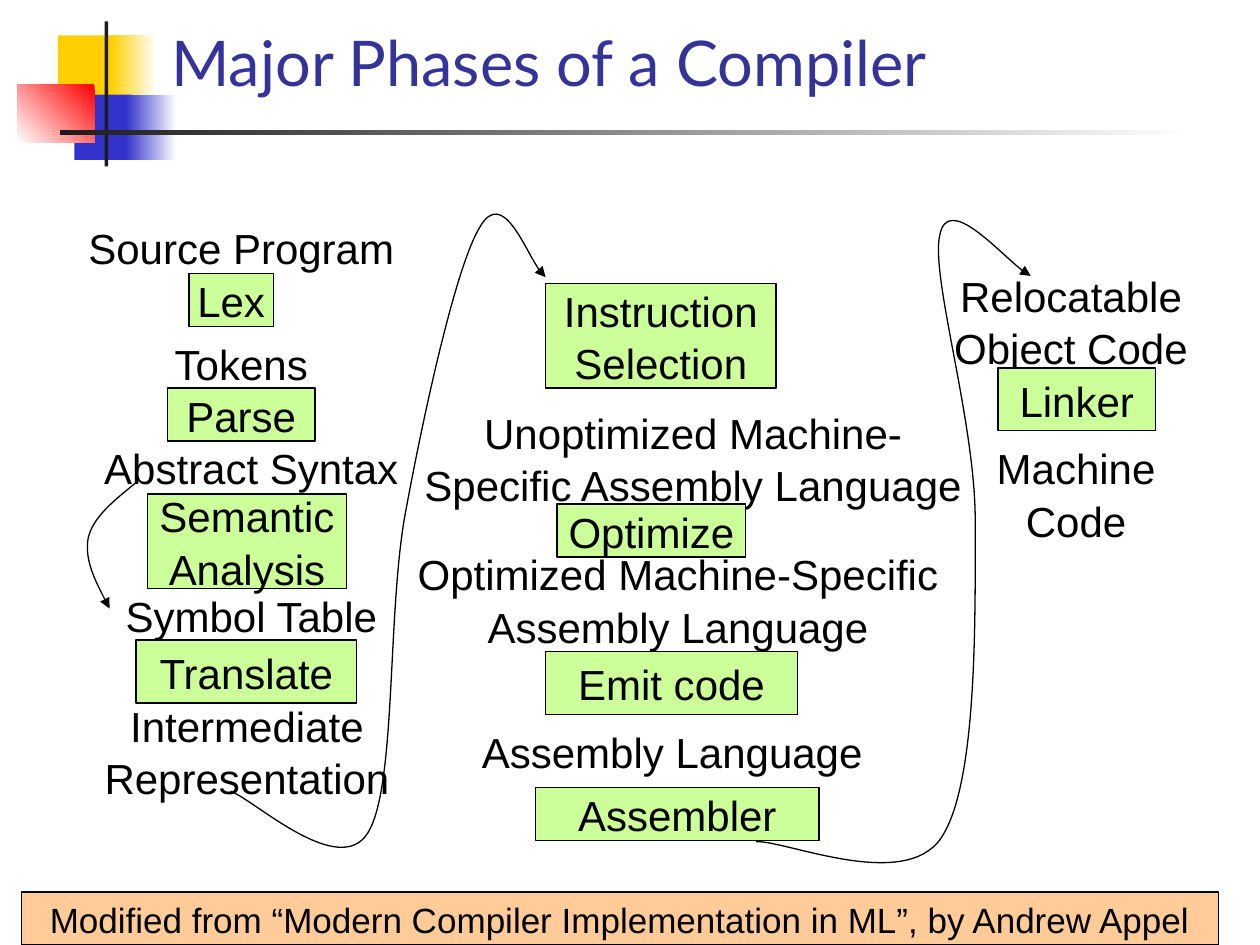
from lxml import etree
from pptx import Presentation
from pptx.dml.color import RGBColor
from pptx.enum.shapes import MSO_SHAPE
from pptx.enum.text import MSO_ANCHOR, MSO_AUTO_SIZE, PP_ALIGN
from pptx.oxml.ns import qn
from pptx.util import Inches, Pt

RECT = MSO_SHAPE.RECTANGLE
TOP, MIDDLE, BOTTOM = MSO_ANCHOR.TOP, MSO_ANCHOR.MIDDLE, MSO_ANCHOR.BOTTOM
LEFT, CENTER = PP_ALIGN.LEFT, PP_ALIGN.CENTER
NO_FIT = MSO_AUTO_SIZE.NONE

COLORS = {
    "white": "FFFFFF", "black": "000000", "dark": "1C1C1C", "title": "333399",
    "yellow": "FFCF01", "blue": "3333CC", "red": "FF0000",
    "green": "CCFF99", "peach": "FFCC99",
}


def color(name):
    return RGBColor.from_string(COLORS[name])


def inches(box):
    return [Inches(n) for n in box]


def write(shape, text, size=24, wrap=False, anchor=MIDDLE):
    frame = shape.text_frame
    frame.text = text
    frame.word_wrap = wrap
    frame.auto_size = NO_FIT
    frame.vertical_anchor = anchor
    for par in frame.paragraphs:
        par.alignment = CENTER
        par.line_spacing = 1.04
        par.font.name = "Arial"
        par.font.size = Pt(size)
        par.font.color.rgb = color("black")


def add_label(slide, box, text, **style):
    write(slide.shapes.add_textbox(*inches(box)), text, **style)


def add_block(slide, box, fill):
    block = slide.shapes.add_shape(RECT, *inches(box))
    block.shadow.inherit = False
    block.line.fill.background()
    block.fill.solid()
    block.fill.fore_color.rgb = color(fill)
    return block


def add_fade(slide, box, start, end, angle=180):
    block = add_block(slide, box, start)
    block.fill.gradient()
    block.fill.gradient_angle = angle
    for stop, name in zip(block.fill.gradient_stops, (start, end)):
        stop.color.rgb = color(name)


def add_phase(slide, box, text, fill="green", size=24):
    phase = add_block(slide, box, fill)
    phase.line.color.rgb = color("black")
    phase.line.width = Pt(0.75)
    write(phase, text, size)


def add_curve(slide, start, *points):
    pen = slide.shapes.build_freeform(*inches(start), scale=1.0)
    pen.add_line_segments([inches(point) for point in points], close=False)
    curve = pen.convert_to_shape()
    curve.shadow.inherit = False
    curve.fill.background()
    curve.line.color.rgb = color("black")
    curve.line.width = Pt(0.75)
    trace = curve._element.xpath(".//a:path")[0]
    lines = trace.findall(qn("a:lnTo"))
    for i in range(0, len(lines), 3):
        bend = etree.SubElement(trace, qn("a:cubicBezTo"))
        for line in lines[i:i + 3]:
            bend.append(line[0])
            trace.remove(line)
    etree.SubElement(curve.line._get_or_add_ln(), qn("a:tailEnd"), type="triangle")


def add_title(slide, box, text):
    title = slide.shapes.title
    title.left, title.top, title.width, title.height = inches(box)
    frame = title.text_frame
    frame.text = text
    frame.auto_size = NO_FIT
    frame.vertical_anchor = BOTTOM
    par = frame.paragraphs[0]
    par.alignment = LEFT
    par.font.name = "Lato"
    par.font.size = Pt(36)
    par.font.color.rgb = color("title")


def add_motif(slide, box):
    x, y, wide, high = box
    add_block(slide, (x + 0.32, y + 0.11, 0.48, 0.52), "yellow")
    add_fade(slide, (x + 0.74, y + 0.11, 0.36, 0.52), "white", "yellow")
    add_block(slide, (x + 0.45, y + 0.58, 0.46, 0.52), "blue")
    add_fade(slide, (x + 0.86, y + 0.58, 0.4, 0.52), "white", "blue")
    add_fade(slide, (x, y + 0.5, 0.61, 0.46), "red", "white", 225)
    add_block(slide, (x + 0.69, y, 0.03, high), "dark")
    add_fade(slide, (x + 0.34, y + 0.86, wide - 0.34, 0.04), "white", "dark")


def add_front(slide, box):
    x, y, wide, high = box
    for dx, dy, text in (
        (0, 0, "Source Program"), (0, 0.92, "Tokens"),
        (0.08, 1.75, "Abstract Syntax"), (0.08, 2.92, "Symbol Table"),
    ):
        add_label(slide, (x + dx, y + dy, 1.83, 0.25), text)
    for dx, dy, w, h, text in (
        (0.5, 0.34, 0.67, 0.42, "Lex"),
        (0.33, 1.25, 1.17, 0.42, "Parse"),
        (0.17, 2.09, 1.58, 0.75, "Semantic\nAnalysis"),
        (0.08, 3.25, 1.75, 0.5, "Translate"),
    ):
        add_phase(slide, (x + dx, y + dy, w, h), text)
    add_label(slide, (x, y + high - 0.58, wide, 0.58), "Intermediate\nRepresentation")


def add_back(slide, box):
    x, y, wide, high = box
    add_label(slide, (x, y + 0.92, wide, 0.9),
              "Unoptimized Machine-Specific Assembly Language",
              wrap=True, anchor=TOP)
    add_label(slide, (x + 0.42, y + 2.17, 3.42, 0.67),
              "Optimized Machine-Specific\nAssembly Language")
    add_label(slide, (x + 0.75, y + 3.5, 2.67, 0.42), "Assembly Language")
    for dx, dy, w, h, text in (
        (1.08, 0, 1.83, 0.83, "Instruction\nSelection"),
        (1.17, 1.75, 1.5, 0.42, "Optimize"),
        (1.08, 2.92, 2, 0.5, "Emit code"),
        (1, high - 0.42, 2.25, 0.42, "Assembler"),
    ):
        add_phase(slide, (x + dx, y + dy, w, h), text)


def add_link(slide, box):
    x, y, wide, high = box
    add_label(slide, (x, y, wide, 0.75), "Relocatable\nObject Code")
    add_phase(slide, (x + 0.42, y + 0.75, 1.25, 0.5), "Linker")
    add_label(slide, (x + 0.25, y + high - 0.67, 1.58, 0.67), "Machine\nCode")


def add_flow(slide):
    add_curve(slide, (1.08, 3.83),
              (0.91, 3.97), (0.74, 4.1), (0.7, 4.27),
              (0.67, 4.44), (0.77, 4.64), (0.87, 4.83))
    add_curve(slide, (1.83, 6.28),
              (2.01, 6.34), (2.69, 6.98), (2.92, 6.61),
              (3.15, 6.24), (3.07, 4.86), (3.22, 4.06),
              (3.37, 3.25), (3.62, 2.11), (3.81, 1.8),
              (3.99, 1.49), (4.22, 2.12), (4.33, 2.2))
    add_curve(slide, (6, 6.68),
              (6.24, 6.67), (7.18, 7.08), (7.47, 6.65),
              (7.76, 6.22), (7.74, 4.9), (7.74, 4.1),
              (7.73, 3.3), (7.38, 2.18), (7.46, 1.86),
              (7.53, 1.54), (8.03, 2.12), (8.18, 2.19))


def main():
    deck = Presentation()
    deck.slide_width, deck.slide_height = Inches(10), Inches(7.5)
    slide = deck.slides.add_slide(deck.slide_layouts[5])
    add_motif(slide, (0.14, 0.17, 9.34, 1.15))
    add_title(slide, (1.26, 0.18, 8.52, 0.66), "Major Phases of a Compiler")
    add_front(slide, (1, 1.83, 1.92, 4.42))
    add_back(slide, (3.25, 2.25, 4.5, 4.42))
    add_link(slide, (7.5, 2.17, 2, 2.08))
    add_flow(slide)
    add_phase(slide, (0.17, 7.08, 9.5, 0.42),
              "Modified from “Modern Compiler Implementation in ML”, by Andrew Appel",
              "peach", 20)
    deck.save("out.pptx")


if __name__ == "__main__":
    main()
